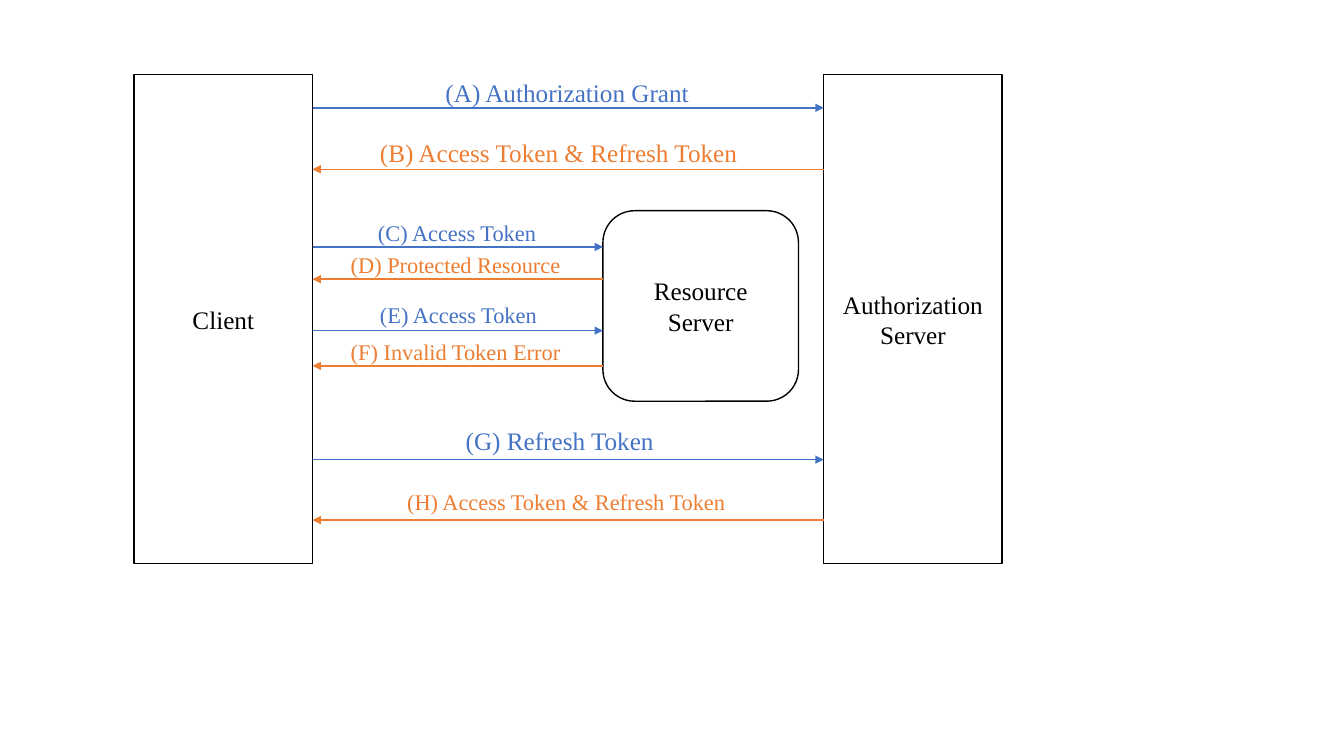
from collections import namedtuple

from lxml import etree
from pptx import Presentation
from pptx import util as u
from pptx.dml.color import RGBColor
from pptx.enum import shapes, text
from pptx.oxml import ns

PX = 9144
FONT = "Times New Roman"
BLACK, WHITE = "000000", "FFFFFF"
REQUEST, RESPONSE = "4472C4", "ED7D31"

Box = namedtuple("Box", "left top width height")
Message = namedtuple("Message", "caption line_y indent rise width size")

CLIENT = Box(133, 74, 177, 485)
AUTHORIZATION = Box(817, 74, 177, 485)
RESOURCE = Box(598, 209, 194, 189)

AUTHORIZATION_MESSAGES = [
    Message("(A) Authorization Grant", 33, 122, 35, 264, 18),
    Message("(B) Access Token & Refresh Token", 94, 57, 37, 378, 18),
    Message("(G) Refresh Token", 382, 142, 39, 209, 18),
    Message("(H) Access Token & Refresh Token", 442, 84, 37, 340, 16),
]
RESOURCE_MESSAGES = [
    Message("(C) Access Token", 36, 55, 33, 179, 16),
    Message("(D) Protected Resource", 68, 28, 33, 231, 16),
    Message("(E) Access Token", 119, 57, 34, 179, 16),
    Message("(F) Invalid Token Error", 154, 28, 32, 235, 16),
]


def px(*lengths):
    return [u.Emu(length * PX) for length in lengths]


def rgb(value):
    return RGBColor.from_string(value)


def write(frame, words, size, color):
    line = frame.paragraphs[0]
    line.text = words
    line.font.name = FONT
    line.font.size = u.Pt(size)
    line.font.color.rgb = rgb(color)
    return line


def draw_party(slide, box, name, outline=shapes.MSO_SHAPE.RECTANGLE):
    party = slide.shapes.add_shape(outline, *px(*box))
    party.shadow.inherit = False
    party.fill.solid()
    party.fill.fore_color.rgb = rgb(WHITE)
    party.line.color.rgb = rgb(BLACK)
    party.line.width = u.Pt(1)
    party.text_frame.word_wrap = True
    party.text_frame.vertical_anchor = text.MSO_ANCHOR.MIDDLE
    write(party.text_frame, name, 18, BLACK).alignment = text.PP_ALIGN.CENTER


def draw_arrow(slide, start, end, y, color):
    arrow = slide.shapes.add_connector(
        shapes.MSO_CONNECTOR.STRAIGHT, *px(start, y, end, y))
    arrow.line.color.rgb = rgb(color)
    arrow.line.width = u.Pt(1)
    head = etree.SubElement(arrow.line._get_or_add_ln(), ns.qn("a:tailEnd"))
    head.set("type", "triangle")
    etree.SubElement(arrow._element.spPr, ns.qn("a:effectLst"))


def draw_caption(slide, box, message, color):
    caption = slide.shapes.add_textbox(*px(*box))
    caption.text_frame.word_wrap = False
    caption.text_frame.auto_size = text.MSO_AUTO_SIZE.SHAPE_TO_FIT_TEXT
    write(caption.text_frame, message.caption, message.size, color)


def draw_exchange(slide, box, messages):
    right = box.left + box.width
    for index, message in enumerate(messages):
        y = box.top + message.line_y
        if index % 2 == 0:
            start, end, color = box.left, right, REQUEST
        else:
            start, end, color = right, box.left, RESPONSE
        draw_arrow(slide, start, end, y, color)
        height = 40 if message.size == 18 else 37
        caption_box = Box(box.left + message.indent, y - message.rise,
                          message.width, height)
        draw_caption(slide, caption_box, message, color)


def channel_to(server):
    left = CLIENT.left + CLIENT.width
    return Box(left, server.top, server.left - left, server.height)


def main():
    deck = Presentation()
    deck.slide_width, deck.slide_height = px(1333, 750)
    slide = deck.slides.add_slide(deck.slide_layouts[6])
    draw_party(slide, CLIENT, "Client")
    draw_party(slide, AUTHORIZATION, "Authorization Server")
    draw_party(slide, RESOURCE, "Resource Server",
               shapes.MSO_SHAPE.ROUNDED_RECTANGLE)
    draw_exchange(slide, channel_to(AUTHORIZATION), AUTHORIZATION_MESSAGES)
    draw_exchange(slide, channel_to(RESOURCE), RESOURCE_MESSAGES)
    deck.save("out.pptx")


if __name__ == "__main__":
    main()
